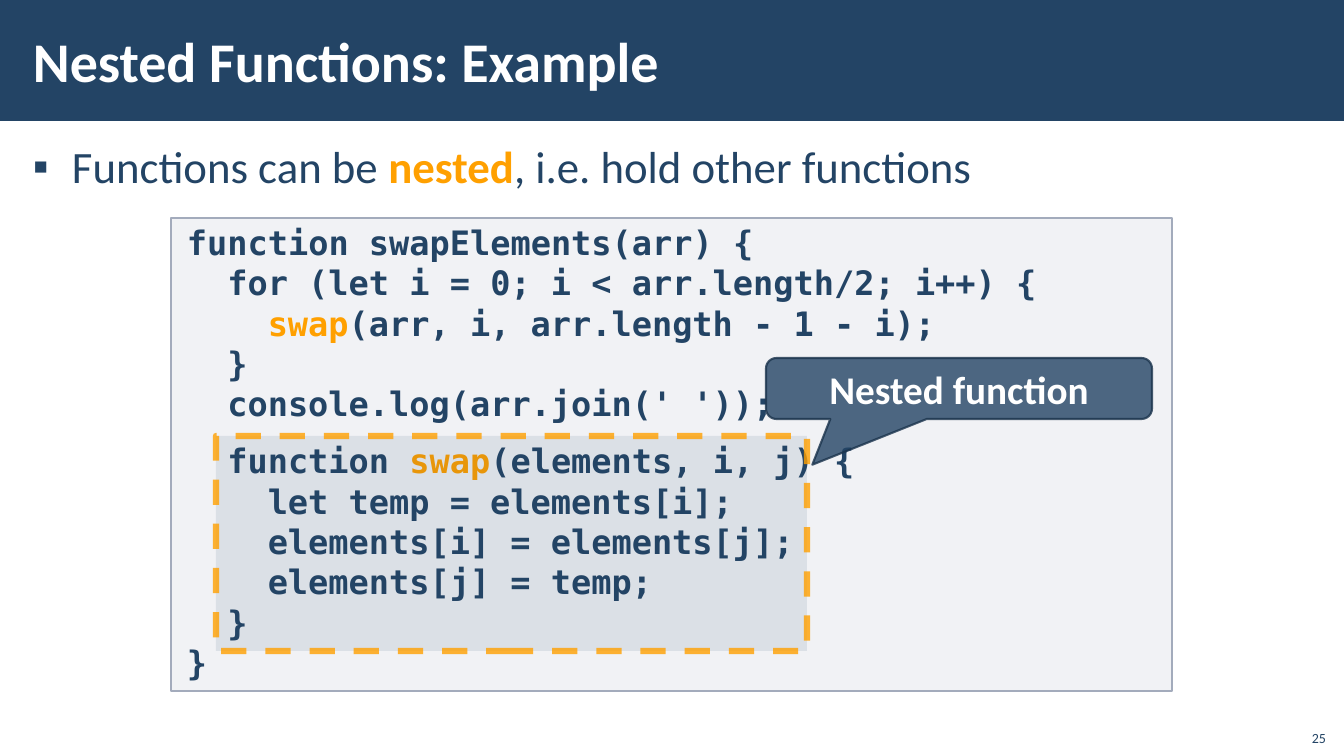
from dataclasses import dataclass

from lxml import etree
from pptx import Presentation
from pptx.dml.color import RGBColor
from pptx.enum.dml import MSO_LINE
from pptx.enum.shapes import MSO_SHAPE
from pptx.enum.text import MSO_ANCHOR, MSO_AUTO_SIZE, PP_ALIGN
from pptx.oxml.ns import qn
from pptx.util import Emu, Pt

RECT = MSO_SHAPE.RECTANGLE
CALLOUT = MSO_SHAPE.ROUNDED_RECTANGULAR_CALLOUT
DASH = MSO_LINE.DASH
MIDDLE, BOTTOM, TOP = MSO_ANCHOR.MIDDLE, MSO_ANCHOR.BOTTOM, MSO_ANCHOR.TOP
LEFT, CENTER, RIGHT = PP_ALIGN.LEFT, PP_ALIGN.CENTER, PP_ALIGN.RIGHT
NO_FIT = MSO_AUTO_SIZE.NONE
SCALE = 914400 / 100.8


@dataclass(frozen=True)
class Theme:
    navy: str = "234465"
    dark: str = "1A334C"
    orange: str = "FFA000"
    gray: str = "A3ABBC"
    white: str = "FFFFFF"
    font: str = "Calibri"
    mono: str = "DejaVu Sans Mono"
    title: int = 40
    body: int = 32
    label: int = 28
    code: int = 24
    number: int = 10


def px(n):
    return Emu(round(n * SCALE))


class Builder:
    def __init__(self, slide, theme):
        self.s = slide
        self.t = theme

    def place(self, sp, box):
        sp.left, sp.top, sp.width, sp.height = map(px, box)

    def frame(self, sp, anchor, pad=12):
        tf = sp.text_frame
        tf.word_wrap = True
        tf.auto_size = NO_FIT
        tf.vertical_anchor = anchor
        tf.margin_left = tf.margin_right = px(pad)
        tf.margin_top = tf.margin_bottom = px(4)
        return tf

    def add_runs(self, p, parts, size, color, font=None, bold=False, align=LEFT):
        p.alignment = align
        for i, text in enumerate(parts):
            marked = i % 2 == 1
            r = p.add_run()
            r.text = text
            r.font.name = font or self.t.font
            r.font.size = Pt(size)
            r.font.bold = bold or marked
            r.font.color.rgb = RGBColor.from_string(self.t.orange if marked else color)

    def paint(self, fmt, color, alpha):
        fmt.solid()
        fmt.fore_color.rgb = RGBColor.from_string(color)
        if alpha < 100:
            clr = fmt._xPr.find(qn("a:solidFill"))[0]
            etree.SubElement(clr, qn("a:alpha"), val=str(alpha * 1000))

    def shape(self, kind, box, fill, alpha=100, line=None, width=1, line_alpha=100, dash=None):
        sp = self.s.shapes.add_shape(kind, *map(px, box))
        sp.shadow.inherit = False
        self.paint(sp.fill, fill, alpha)
        if line:
            self.paint(sp.line.fill, line, line_alpha)
            sp.line.width = Pt(width)
            if dash:
                sp.line.dash_style = dash
        else:
            sp.line.fill.background()
        return sp

    def band(self, box):
        sp = self.shape(RECT, box, self.t.navy)
        self.s.shapes._spTree.insert(2, sp._element)

    def title(self, box, text):
        sp = self.s.shapes.title
        self.place(sp, box)
        p = self.frame(sp, MIDDLE).paragraphs[0]
        self.add_runs(p, [text], self.t.title, self.t.white, bold=True)

    def bullets(self, box, items):
        sp = self.s.placeholders[1]
        self.place(sp, box)
        tf = self.frame(sp, TOP)
        for i, parts in enumerate(items):
            p = tf.add_paragraph() if i else tf.paragraphs[0]
            self.add_runs(p, parts, self.t.body, self.t.navy)
            p.line_spacing = 1.05
            p.space_before = p.space_after = Pt(6)
            pPr = p._p.get_or_add_pPr()
            pPr.set("marL", str(px(39)))
            pPr.set("indent", str(-px(39)))
            etree.SubElement(pPr, qn("a:buChar"), char="▪")

    def code(self, box, lines):
        sp = self.shape(RECT, box, self.t.gray, 15, self.t.gray)
        tf = self.frame(sp, TOP, 16)
        for i, (level, gap, *parts) in enumerate(lines):
            p = tf.add_paragraph() if i else tf.paragraphs[0]
            self.add_runs(p, parts, self.t.code, self.t.navy, self.t.mono, True)
            p.line_spacing = Pt(28.8)
            p.space_before = Pt(gap)
            p._p.get_or_add_pPr().set("marL", str(px(40.4 * level)))

    def callout(self, box, text, adjustments):
        sp = self.shape(CALLOUT, box, self.t.navy, 80, self.t.dark, 1.5, 80)
        for i, value in enumerate(adjustments):
            sp.adjustments[i] = value
        p = self.frame(sp, MIDDLE).paragraphs[0]
        self.add_runs(p, [text], self.t.label, self.t.white, bold=True, align=CENTER)

    def highlight(self, box):
        self.shape(RECT, box, self.t.navy, 10, self.t.orange, 4.5, 80, DASH)

    def number(self, box, text):
        sp = self.s.shapes.add_textbox(*map(px, box))
        p = self.frame(sp, BOTTOM, 9).paragraphs[0]
        self.add_runs(p, [text], self.t.number, self.t.navy, align=RIGHT)


prs = Presentation()
prs.slide_width, prs.slide_height = px(1344), px(756)
b = Builder(prs.slides.add_slide(prs.slide_layouts[1]), Theme())

b.band((0, 0, 1344, 121))
b.number((1295, 718, 40, 32), "25")
b.title((21, 11, 1072, 98), "Nested Functions: Example")
b.bullets((21, 132, 1302, 609), [
    ("Functions can be ", "nested", ", i.e. hold other functions"),
])
b.code((171, 218, 1001, 473), [
    (0, 0, "function swapElements(arr) {"),
    (1, 0, "for (let i = 0; i < arr.length/2; i++) {"),
    (2, 0, "", "swap", "(arr, i, arr.length - 1 - i);"),
    (1, 0, "}"),
    (1, 0, "console.log(arr.join(' '));"),
    (1, 12, "function ", "swap", "(elements, i, j) {"),
    (2, 0, "let temp = elements[i];"),
    (2, 0, "elements[i] = elements[j];"),
    (2, 0, "elements[j] = temp;"),
    (1, 0, "}"),
    (0, 0, "}"),
])
b.callout((766, 358, 386, 61), "Nested function", (-0.38, 1.25, 0.17))
b.highlight((216, 436, 591, 215))

prs.save("out.pptx")
